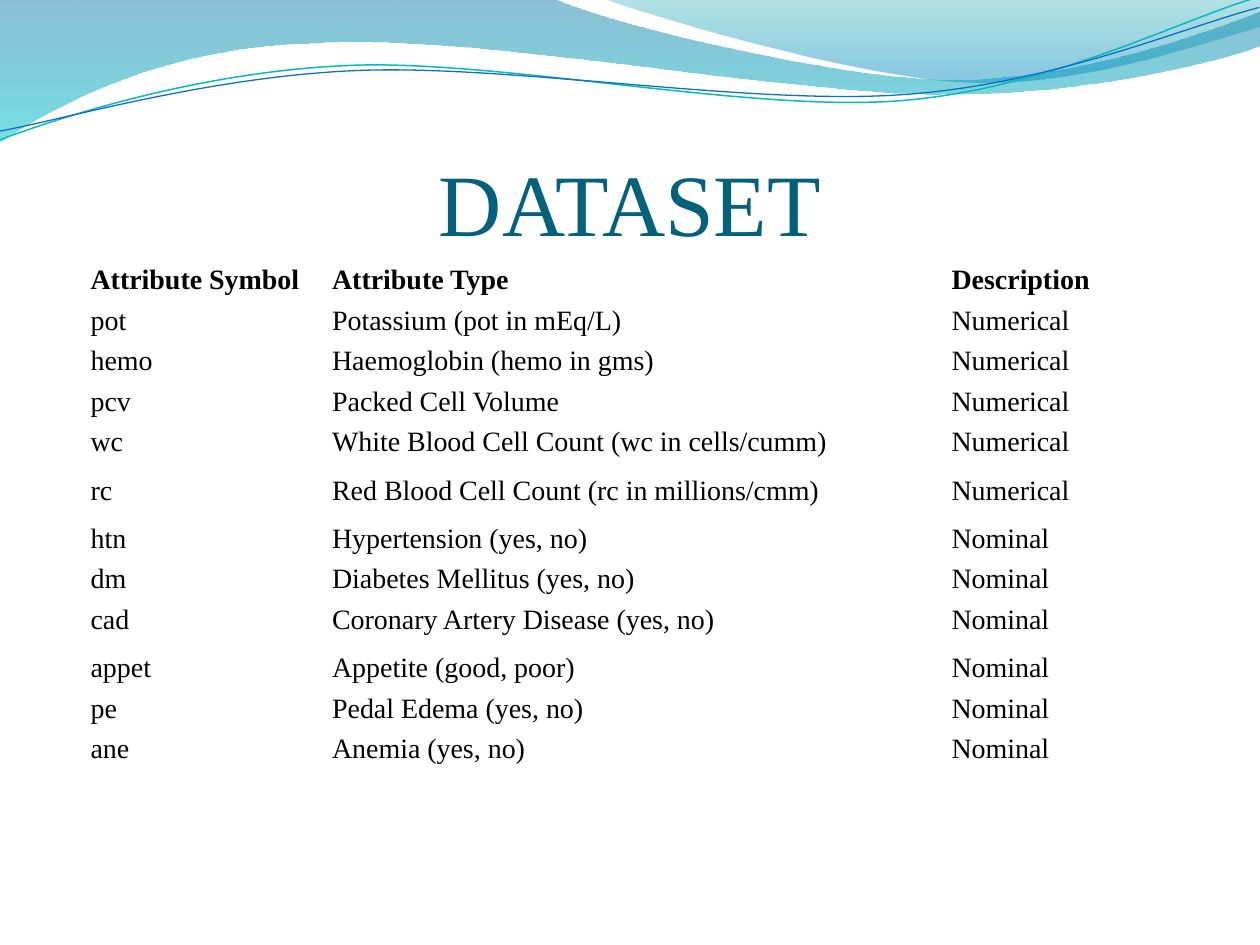
from itertools import chain

from lxml import etree
from pptx import Presentation
from pptx import util as u
from pptx.dml.color import RGBColor
from pptx.enum import text
from pptx.oxml.ns import qn

Pt = u.Pt
FONT = "Times New Roman"
BLACK = RGBColor(0x00, 0x00, 0x00)
TITLE_TEAL = RGBColor(0x04, 0x61, 0x7B)
DEEP_BLUE = RGBColor(0x00, 0x74, 0xA1)
CYAN = RGBColor(0x00, 0xC6, 0xCF)
TEAL = RGBColor(0x00, 0xA1, 0xA9)
SKY_BLUE = RGBColor(0x00, 0x8B, 0xBF)
LINE_TEAL = RGBColor(0x0A, 0xB8, 0xBF)
LINE_BLUE = RGBColor(0x0F, 0x6F, 0xC6)

BACK_WAVE = [
    [(0, 0)],
    [(316.8, -0.7)],
    [(342.7, 12.2), (478.1, 45.4), (545.8, 45.4)],
    [(614.2, 45.4), (689.8, 18.7), (720, 6.5)],
    [(720.7, 25.9)],
    [(707.8, 31.7), (626.4, 54.7), (537.1, 54)],
    [(447.8, 54), (275, 20.2), (185, 24.5)],
    [(92.9, 25.9), (33.1, 59.8), (-0.7, 81.4)],
]
FRONT_WAVE = [
    [(344.9, -0.7)],
    [(366.5, 7.9), (491, 44.6), (553.7, 46.8)],
    [(616.3, 49.7), (691.9, 23), (720, 15.1)],
    [(720, 0)],
]
TEAL_LINE = [
    [(-1.4, 62.9)],
    [(33.8, 51.7), (114.1, 29.4), (199.8, 29.9)],
    [(284.9, 30.3), (425.8, 67.3), (512.4, 64.9)],
    [(599, 62.4), (676.4, 25.7), (720.2, 15.5)],
]
BLUE_LINE = [
    [(-1.1, 57.9)],
    [(32.9, 53.7), (118.3, 32.5), (204.1, 33)],
    [(290.6, 33.4), (428.9, 63.8), (515.5, 61.4)],
    [(601.3, 59.6), (678.4, 30.1), (720.8, 21.3)],
]
LINE_ROTATION = 357.3

COLUMN_WIDTHS = [138, 354, 126]
ROW_HEIGHT, TALL_ROW_HEIGHT = 23.2, 27.6
TALL_ROWS = {"wc", "rc", "cad"}
ATTRIBUTES = [
    ("Attribute Symbol", "Attribute Type", "Description"),
    ("pot", "Potassium (pot in mEq/L)", "Numerical"),
    ("hemo", "Haemoglobin (hemo in gms)", "Numerical"),
    ("pcv", "Packed Cell Volume", "Numerical"),
    ("wc", "White Blood Cell Count (wc in cells/cumm)", "Numerical"),
    ("rc", "Red Blood Cell Count (rc in millions/cmm)", "Numerical"),
    ("htn", "Hypertension (yes, no)", "Nominal"),
    ("dm", "Diabetes Mellitus (yes, no)", "Nominal"),
    ("cad", "Coronary Artery Disease (yes, no)", "Nominal"),
    ("appet", "Appetite (good, poor)", "Nominal"),
    ("pe", "Pedal Edema (yes, no)", "Nominal"),
    ("ane", "Anemia (yes, no)", "Nominal"),
]


def apply(target, formats):
    for key, value in formats.items():
        setattr(target, key, value)


def write(paragraph, words, size, color, bold=False):
    run = paragraph.add_run()
    run.text = words
    apply(run.font, {"name": FONT, "size": Pt(size), "bold": bold})
    run.font.color.rgb = color


def bend(outline, segments):
    corners = iter(list(outline._element.iter(qn("a:lnTo"))))
    for segment in segments[1:]:
        first, *others = [next(corners) for _ in segment]
        if others:
            first.tag = qn("a:cubicBezTo")
            for corner in others:
                first.append(corner[0])
                corner.getparent().remove(corner)


def add_outline(slide, left, top, segments, close):
    points = [(Pt(left + x), Pt(top + y)) for x, y in chain(*segments)]
    builder = slide.shapes.build_freeform(*points[0])
    builder.add_line_segments(points[1:], close=False)
    outline = builder.convert_to_shape()
    bend(outline, segments)
    if close:
        start = next(outline._element.iter(qn("a:moveTo")))
        etree.SubElement(start.getparent(), qn("a:close"))
    outline.shadow.inherit = False
    return outline


def add_wave(slide, left, top, segments, stops):
    wave = add_outline(slide, left, top, segments, True)
    wave.line.fill.background()
    wave.fill.gradient()
    wave.fill.gradient_angle = 270
    for stop, (position, color, _) in zip(wave.fill.gradient_stops, stops):
        stop.position = position
        stop.color.rgb = color
    colors = wave._element.spPr.iter(qn("a:srgbClr"))
    for color, (_, _, opacity) in zip(colors, stops):
        etree.SubElement(color, qn("a:alpha"), val=str(opacity * 1000))


def add_wave_line(slide, left, top, segments, color, width):
    wave_line = add_outline(slide, left, top, segments, False)
    wave_line.rotation = LINE_ROTATION
    wave_line.fill.background()
    wave_line.line.color.rgb = color
    wave_line.line.width = Pt(width)


def add_wave_header(slide, left, top):
    add_wave(slide, left, top, BACK_WAVE, [(0, DEEP_BLUE, 45), (1, CYAN, 55)])
    add_wave(slide, left, top, FRONT_WAVE, [(0, TEAL, 30), (0.8, SKY_BLUE, 45)])
    add_wave_line(slide, left, top, TEAL_LINE, LINE_TEAL, 0.85)
    add_wave_line(slide, left, top, BLUE_LINE, LINE_BLUE, 0.75)


def add_title(slide, left, top, width, height):
    heading = slide.shapes.add_textbox(Pt(left), Pt(top), Pt(width), Pt(height)).text_frame
    apply(heading, {
        "word_wrap": True, "vertical_anchor": text.MSO_ANCHOR.BOTTOM,
        "margin_left": 0, "margin_right": 0, "margin_top": Pt(3.6), "margin_bottom": 0,
    })
    heading.paragraphs[0].alignment = text.PP_ALIGN.CENTER
    write(heading.paragraphs[0], "DATASET", 50, TITLE_TEAL)


def add_attribute_table(slide, left, top, width, height):
    frame = slide.shapes.add_table(len(ATTRIBUTES), len(COLUMN_WIDTHS),
                                   Pt(left), Pt(top), Pt(width), Pt(height))
    attributes = frame.table
    apply(attributes, {"first_row": False, "horz_banding": False})
    for column, column_width in zip(attributes.columns, COLUMN_WIDTHS):
        column.width = Pt(column_width)
    for index, (row, entries) in enumerate(zip(attributes.rows, ATTRIBUTES)):
        row.height = Pt(TALL_ROW_HEIGHT if entries[0] in TALL_ROWS else ROW_HEIGHT)
        for cell, entry in zip(row.cells, entries):
            cell.fill.background()
            apply(cell, {"margin_left": Pt(3.6), "margin_right": Pt(3.6),
                         "margin_top": 0, "margin_bottom": 0})
            paragraph = cell.text_frame.paragraphs[0]
            paragraph.line_spacing = 1.07
            write(paragraph, entry, 16, BLACK, bold=index == 0)


def main():
    deck = Presentation()
    apply(deck, {"slide_width": Pt(720), "slide_height": Pt(540)})
    slide = deck.slides.add_slide(deck.slide_layouts[6])
    add_wave_header(slide, 0, 0)
    add_title(slide, 36, 55.4, 648, 90)
    add_attribute_table(slide, 48.2, 149.9, sum(COLUMN_WIDTHS), 291.6)
    deck.save("out.pptx")


if __name__ == "__main__":
    main()
